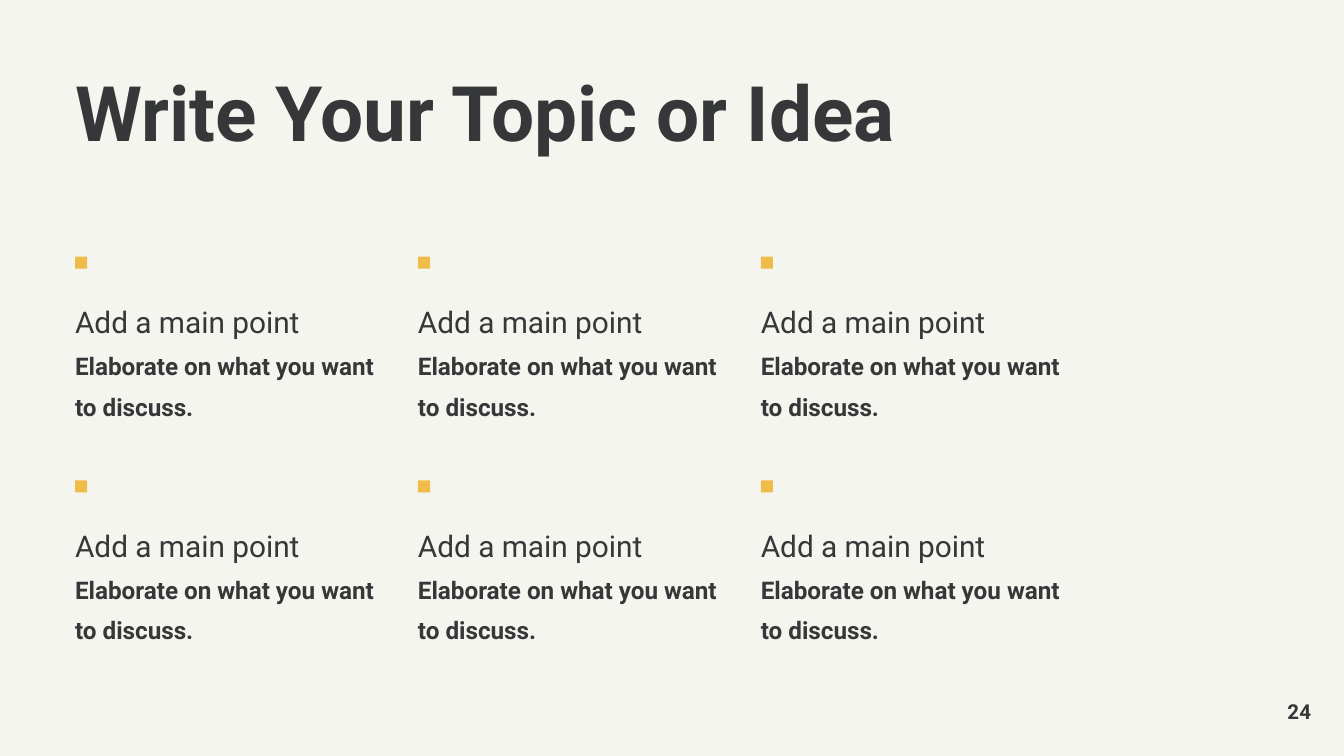
from pptx import Presentation
from pptx.dml.color import RGBColor
from pptx.enum.shapes import MSO_SHAPE
from pptx.enum.text import MSO_ANCHOR, MSO_AUTO_SIZE, PP_ALIGN
from pptx.util import Cm, Pt

RECT = MSO_SHAPE.RECTANGLE
TOP, MIDDLE = MSO_ANCHOR.TOP, MSO_ANCHOR.MIDDLE
LEFT, RIGHT = PP_ALIGN.LEFT, PP_ALIGN.RIGHT
NO_FIT = MSO_AUTO_SIZE.NONE

TITLE = "Write Your Topic or Idea"
POINTS = [("Add a main point", "Elaborate on what you want to discuss.")] * 6
PAGE = "24"

BG, INK, ACCENT = "F5F5EF", "363739", "EFBC49"
TITLE_FONT = {"size": Pt(41), "bold": True}
HEAD_FONT = {"size": Pt(16), "bold": False}
BODY_FONT = {"size": Pt(13), "bold": True}
PAGE_FONT = {"size": Pt(11), "bold": True}

COLS = 3
MARGIN, GRID_TOP = 1.42, 4.85
COL_STEP, ROW_STEP = 6.48, 4.23
MARKER, TEXT_DROP = 0.23, 0.62
TEXT_W, TEXT_H = 5.87, 2.67


def paint(color, value):
    color.rgb = RGBColor.from_string(value)


def add_run(p, text, font):
    r = p.add_run()
    r.text = text
    for name, value in {"name": "Roboto", **font}.items():
        setattr(r.font, name, value)
    paint(r.font.color, INK)


def set_frame(sp, anchor=TOP, align=LEFT, spacing=1.0):
    tf = sp.text_frame
    frame = {"margin_left": 0, "margin_top": 0, "margin_right": 0,
             "margin_bottom": 0, "word_wrap": True, "auto_size": NO_FIT,
             "vertical_anchor": anchor}
    for name, value in frame.items():
        setattr(tf, name, value)
    p = tf.paragraphs[0]
    for name, value in {"alignment": align, "line_spacing": spacing,
                        "space_before": Pt(0)}.items():
        setattr(p, name, value)
    return p


def add_point(s, x, y, head, body):
    sp = s.shapes.add_shape(RECT, Cm(x), Cm(y), Cm(MARKER), Cm(MARKER))
    sp.shadow.inherit = False
    sp.fill.solid()
    paint(sp.fill.fore_color, ACCENT)
    sp.line.fill.background()
    sp = s.shapes.add_textbox(Cm(x), Cm(y + TEXT_DROP), Cm(TEXT_W), Cm(TEXT_H))
    p = set_frame(sp, spacing=1.4)
    add_run(p, head, HEAD_FONT)
    p.add_line_break()
    add_run(p, body, BODY_FONT)


prs = Presentation()
prs.slide_width, prs.slide_height = Cm(25.4), Cm(14.29)
s = prs.slides.add_slide(prs.slide_layouts[5])
s.background.fill.solid()
paint(s.background.fill.fore_color, BG)

title = s.shapes.title
title.left, title.top = Cm(MARGIN), Cm(MARGIN)
title.width, title.height = Cm(18), Cm(2)
add_run(set_frame(title, spacing=0.9), TITLE, TITLE_FONT)

for i, (head, body) in enumerate(POINTS):
    row, col = divmod(i, COLS)
    add_point(s, MARGIN + col * COL_STEP, GRID_TOP + row * ROW_STEP, head, body)

page = s.shapes.add_textbox(Cm(23.26), Cm(13.19), Cm(1.52), Cm(0.5))
add_run(set_frame(page, MIDDLE, RIGHT), PAGE, PAGE_FONT)

prs.save("out.pptx")
